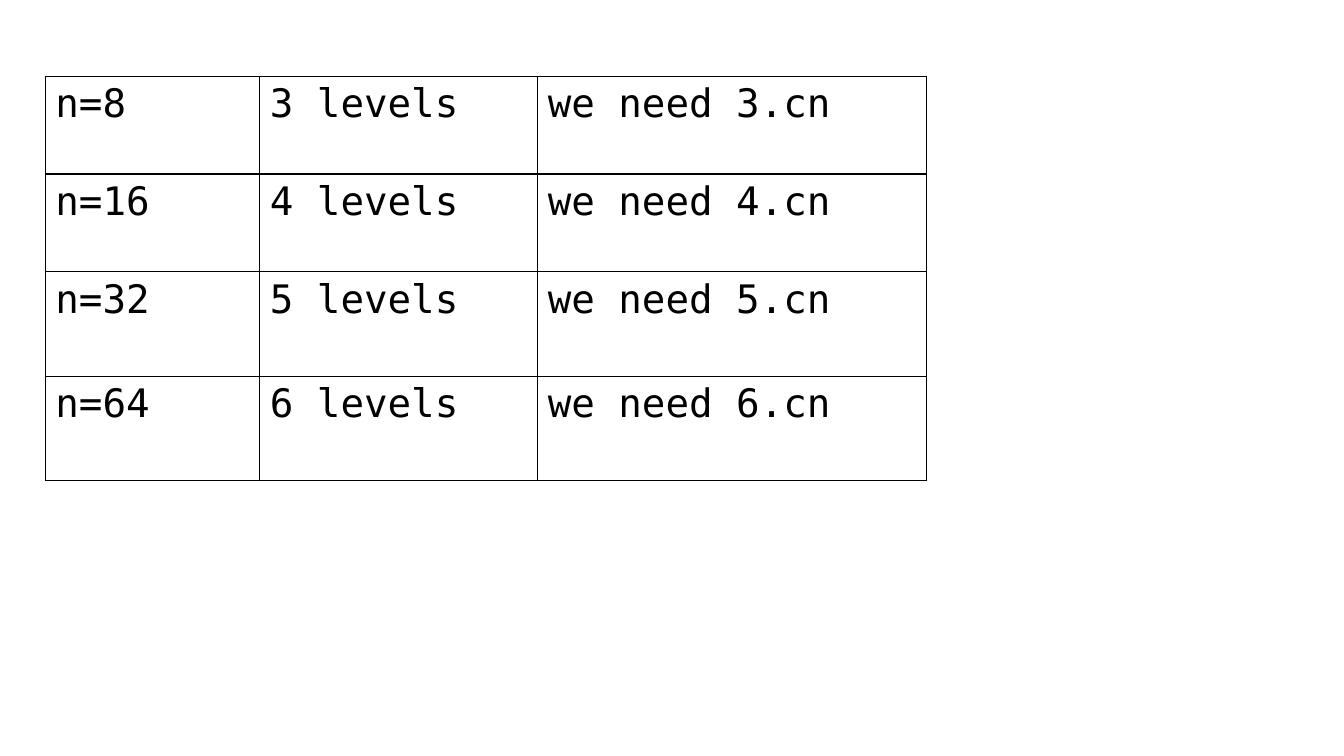
"""Build a slide with a table of levels and cost for each input size."""
from pptx import Presentation
from pptx.util import Pt
from pptx.dml.color import RGBColor as Rgb
from pptx.oxml import parse_xml as to_xml
from pptx.oxml.ns import nsdecls

LEVELS = {8: 3, 16: 4, 32: 5, 64: 6}
HUES = {"ink": "000000", "paper": "FFFFFF"}
FONT = {"name": "DejaVu Sans Mono", "size": Pt(28), "bold": False}
LEFT, TOP = 32.4, 54.5
WIDTHS = [153.2, 198.5, 277.8]
HEIGHTS = [69.8, 69.8, 74.7, 74.7]
SIDES = ["lnL", "lnR", "lnT", "lnB"]


def rule(cell):
    props = cell._tc.get_or_add_tcPr()
    for at, side in enumerate(SIDES):
        props.insert(at, to_xml(
            f'<a:{side} {nsdecls("a")} w="{Pt(1)}"><a:solidFill>'
            f'<a:srgbClr val="{HUES["ink"]}"/></a:solidFill></a:{side}>'))


def write(cell, text):
    cell.fill.solid()
    cell.fill.fore_color.rgb = Rgb.from_string(HUES["paper"])
    rule(cell)
    cell.text = text
    font = cell.text_frame.paragraphs[0].runs[0].font
    for key, value in FONT.items():
        setattr(font, key, value)
    font.color.rgb = Rgb.from_string(HUES["ink"])


def main():
    deck = Presentation()
    deck.slide_width, deck.slide_height = Pt(960), Pt(540)
    slide = deck.slides.add_slide(deck.slide_layouts[6])
    rows = [(f"n={n}", f"{k} levels", f"we need {k}.cn") for n, k in LEVELS.items()]
    table = slide.shapes.add_table(
        len(rows), len(WIDTHS), Pt(LEFT), Pt(TOP),
        Pt(sum(WIDTHS)), Pt(sum(HEIGHTS))).table
    table.first_row = table.horz_banding = False
    for col, width in zip(table.columns, WIDTHS):
        col.width = Pt(width)
    for row, height, texts in zip(table.rows, HEIGHTS, rows):
        row.height = Pt(height)
        for cell, text in zip(row.cells, texts):
            write(cell, text)
    deck.save("out.pptx")


if __name__ == "__main__":
    main()
